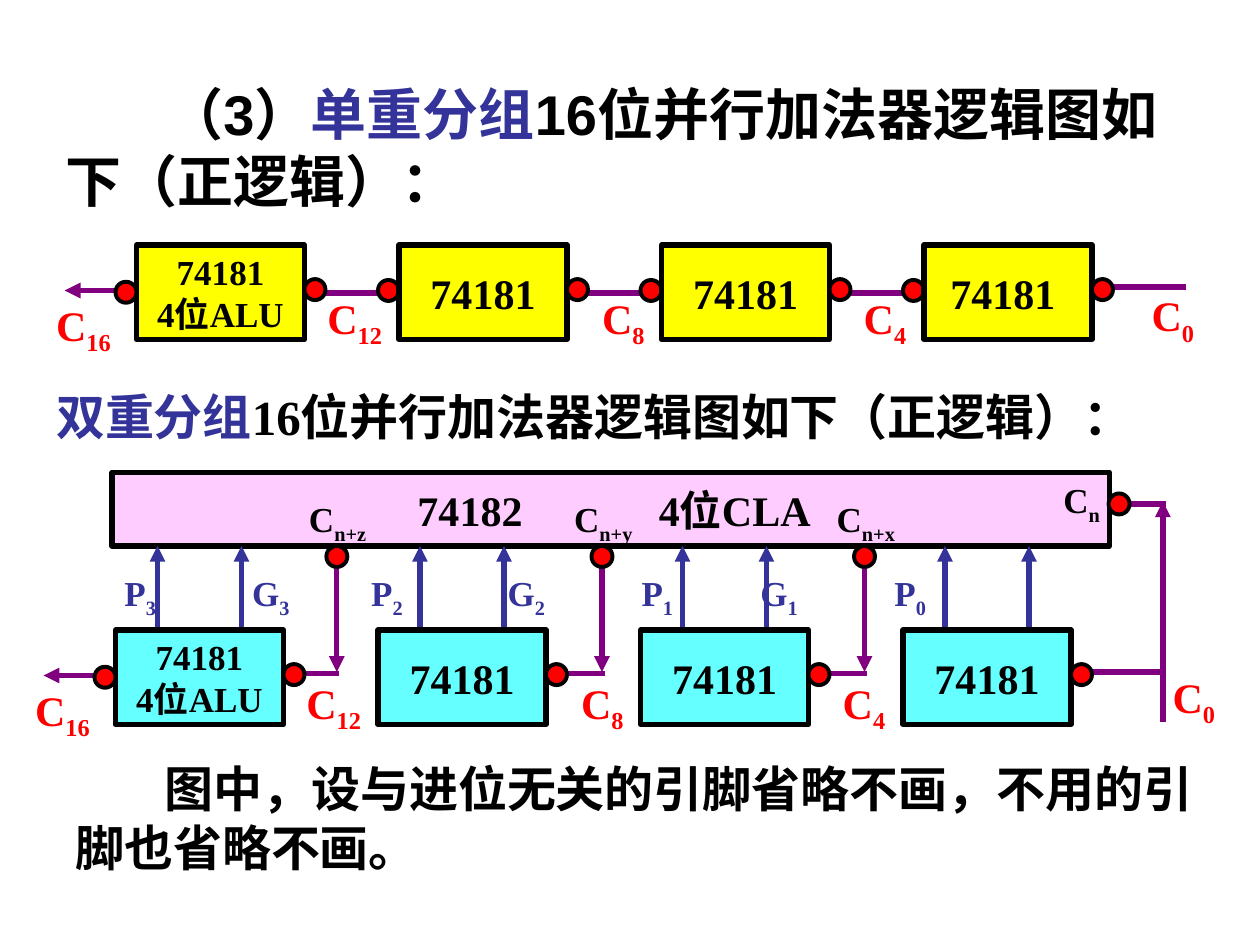
import pptx
import pptx.dml.color
import pptx.enum.shapes
import pptx.enum.text
import pptx.oxml.ns
import pptx.util
from dataclasses import dataclass
from lxml import etree

Pt = pptx.util.Pt
SHAPE = pptx.enum.shapes.MSO_SHAPE
ANCHOR = pptx.enum.text.MSO_ANCHOR
ALIGN = pptx.enum.text.PP_ALIGN
qn = pptx.oxml.ns.qn


@dataclass(frozen=True)
class Theme:
    serif: str = "Times New Roman"
    sans: str = "Arial"
    black: str = "000000"
    blue: str = "333399"
    purple: str = "800080"
    red: str = "FF0000"
    yellow: str = "FFFF00"
    cyan: str = "66FFFF"
    pink: str = "FFCCFF"
    title: float = 32
    body: float = 28
    label: float = 24
    small: float = 20
    line: float = 3
    ring: float = 2.25


THEME = Theme()
BLOCK_W, BLOCK_H, PITCH, DOT = 96, 54, 150, 12
DROPS = (192.5, 344, 494)  # x of the carries leaving the look-ahead unit


def rgb(value):
    return pptx.dml.color.RGBColor.from_string(value)


def style(paragraph, size, color=None, font=THEME.serif):
    paragraph.font.name = font
    paragraph.font.size = Pt(size)
    paragraph.font.bold = True
    if color:
        paragraph.font.color.rgb = rgb(color)


def set_tabs(paragraph, stops):
    tab_list = etree.SubElement(paragraph._p.get_or_add_pPr(), qn("a:tabLst"))
    for stop in stops:
        etree.SubElement(tab_list, qn("a:tab"), pos=str(Pt(stop)), algn="l")


def add_subscripted(paragraph, pairs):
    """Write (base, subscript) pairs as alternating runs."""
    for base, subscript in pairs:
        paragraph.add_run().text = base
        lowered = paragraph.add_run()
        lowered.text = subscript
        lowered._r.get_or_add_rPr().set("baseline", "-25000")


def add_text_box(slide, x, y, w, h, wrap=True):
    frame = slide.shapes.add_textbox(Pt(x), Pt(y), Pt(w), Pt(h)).text_frame
    frame.word_wrap = wrap
    return frame


def add_passage(slide, box, pieces, size, font=THEME.serif, indent=0):
    """Running text whose (text, color) pieces may differ in colour."""
    frame = add_text_box(slide, *box)
    passage = frame.paragraphs[0]
    passage._p.get_or_add_pPr().set("indent", str(Pt(indent)))
    style(passage, size, font=font)
    for text, color in pieces:
        piece = passage.add_run()
        piece.text = text
        piece.font.color.rgb = rgb(color)
    return frame


def add_signal(slide, x, y, w, base, subscript, size, color):
    frame = add_text_box(slide, x, y, w, size * 1.7, wrap=False)
    frame.margin_right = 0  # room for the whole subscript on one line
    signal = frame.paragraphs[0]
    add_subscripted(signal, [(base, subscript)])
    style(signal, size, color)


def add_carry(slide, x, y, number):
    width = 45 if len(number) > 1 else 39
    add_signal(slide, x, y, width, "C", number, THEME.label, THEME.red)


def add_outlined(slide, kind, x, y, w, h, fill, weight):
    outlined = slide.shapes.add_shape(kind, Pt(x), Pt(y), Pt(w), Pt(h))
    outlined.shadow.inherit = False
    outlined.fill.solid()
    outlined.fill.fore_color.rgb = rgb(fill)
    outlined.line.color.rgb = rgb(THEME.black)
    outlined.line.width = Pt(weight)
    return outlined


def add_pin(slide, x, y):
    add_outlined(slide, SHAPE.OVAL, x, y, DOT, DOT, THEME.red, THEME.ring)


def add_chip(slide, x, y, fill, lines, size):
    chip = add_outlined(slide, SHAPE.RECTANGLE, x, y, BLOCK_W, BLOCK_H, fill, THEME.line)
    frame = chip.text_frame
    frame.word_wrap = False
    frame.vertical_anchor = ANCHOR.MIDDLE
    frame.text = "\n".join(lines)
    for paragraph in frame.paragraphs:
        paragraph.alignment = ALIGN.CENTER
        style(paragraph, size, THEME.black)


def add_wire(slide, x1, y1, x2, y2, color=THEME.purple, arrow=False):
    wire = slide.shapes.add_connector(
        pptx.enum.shapes.MSO_CONNECTOR.STRAIGHT, Pt(x1), Pt(y1), Pt(x2), Pt(y2))
    wire.line.color.rgb = rgb(color)
    wire.line.width = Pt(THEME.line)
    if arrow:
        etree.SubElement(wire.line._get_or_add_ln(), qn("a:tailEnd"), type="triangle")
    etree.SubElement(wire._element.spPr, qn("a:effectLst"))


def add_chip_row(slide, left, top, fill, last="74181"):
    """Four chips with their output pins, the C16 arrow and the inner carries."""
    for i, lines in enumerate((["74181", "4位ALU"], ["74181"], ["74181"], [last])):
        x = left + i * PITCH
        size = THEME.small if len(lines) > 1 else THEME.label
        add_chip(slide, x, top, fill, lines, size)
        add_pin(slide, x + BLOCK_W, top + 19.5)
    add_wire(slide, left - 11, top + 26, left - 41, top + 26, arrow=True)
    add_pin(slide, left - DOT, top + 21)
    add_carry(slide, left - 53, top + 27.5, "16")
    for offset, number in ((102, "12"), (259, "8"), (408.5, "4")):
        add_carry(slide, left + offset, top + 23.5, number)


def add_single_group(slide):
    left, top = 78, 140
    for i in range(3):
        x = left + BLOCK_W + DOT + i * PITCH
        next_pin = left + (i + 1) * PITCH - DOT
        add_wire(slide, x, 167.5, next_pin, 167.5)
        add_pin(slide, next_pin, 160)
    add_wire(slide, 678, 164, 636, 164)
    add_chip_row(slide, left, top, THEME.yellow, last="74181 ")
    add_carry(slide, 651, 162, "0")


def add_lookahead_unit(slide):
    unit = add_outlined(slide, SHAPE.RECTANGLE, 64, 270, 570, 42, THEME.pink, THEME.line)
    frame = unit.text_frame
    frame.word_wrap = True
    frame.vertical_anchor = ANCHOR.MIDDLE
    name = frame.paragraphs[0]
    name.alignment = ALIGN.LEFT
    name.add_run().text = "\t74182\t4位CLA"
    set_tabs(name, (167.5, 305.5))
    style(name, THEME.label, THEME.black)


def add_double_group(slide):
    left, top = 66, 360
    add_lookahead_unit(slide)

    # Propagate and generate signals
    signals = add_text_box(slide, 64, 323, 549, 34.5, wrap=False).paragraphs[0]
    add_subscripted(signals, [("P", "3"), ("\tG", "3"), ("\tP", "2"), ("\tG", "2"),
                              ("\tP", "1"), ("\tG", "1"), ("\tP", "0"), ("\tG", "0")])
    set_tabs(signals, (73, 141, 219, 295.5, 363.5, 440, 513.5))
    style(signals, THEME.small, THEME.blue)
    for i in range(4):
        for offset in (24, 72):
            x = left + i * PITCH + offset
            add_wire(slide, x, top, x, 312, THEME.blue, arrow=True)

    # Carries fed back from the look-ahead unit
    for i, (x, subscript) in enumerate(zip(DROPS, ("n+z", "n+y", "n+x"))):
        add_wire(slide, x, 324, x, 384, arrow=True)
        add_wire(slide, x + 1.5, 385, left + BLOCK_W + 10 + i * PITCH, 385)
        add_pin(slide, x - DOT / 2, 312)
        add_signal(slide, x - 23, 281, 47, "C", subscript, THEME.small, THEME.black)

    # Carry input
    add_wire(slide, 666, 384, 624, 384)
    add_wire(slide, 664.5, 412.5, 664.5, 286.5, arrow=True)
    add_wire(slide, 666, 288, 644.5, 288)
    add_pin(slide, 633.5, 282)
    add_signal(slide, 600.5, 270, 35, "C", "n", THEME.small, THEME.black)

    add_chip_row(slide, left, top, THEME.cyan)
    add_carry(slide, 663, 380, "0")


def main():
    deck = pptx.Presentation()
    deck.slide_width, deck.slide_height = Pt(720), Pt(540)
    slide = deck.slides.add_slide(deck.slide_layouts[6])

    # Headings and closing remark
    heading = add_passage(
        slide, (30.5, 30, 660, 108),
        [("（3）", THEME.black), ("单重分组", THEME.blue),
         ("16位并行加法器逻辑图如下（正逻辑）：", THEME.black)],
        THEME.title, THEME.sans, indent=58)
    heading.vertical_anchor = ANCHOR.MIDDLE
    add_passage(
        slide, (25, 217.5, 643, 41),
        [("双重分组", THEME.blue), ("16位并行加法器逻辑图如下（正逻辑）：", THEME.black)],
        THEME.body)
    add_passage(
        slide, (36, 430, 654, 75),
        [("图中，设与进位无关的引脚省略不画，不用的引脚也省略不画。", THEME.black)],
        THEME.body, indent=51)

    # Circuits
    add_single_group(slide)
    add_double_group(slide)
    deck.save("out.pptx")


if __name__ == "__main__":
    main()
